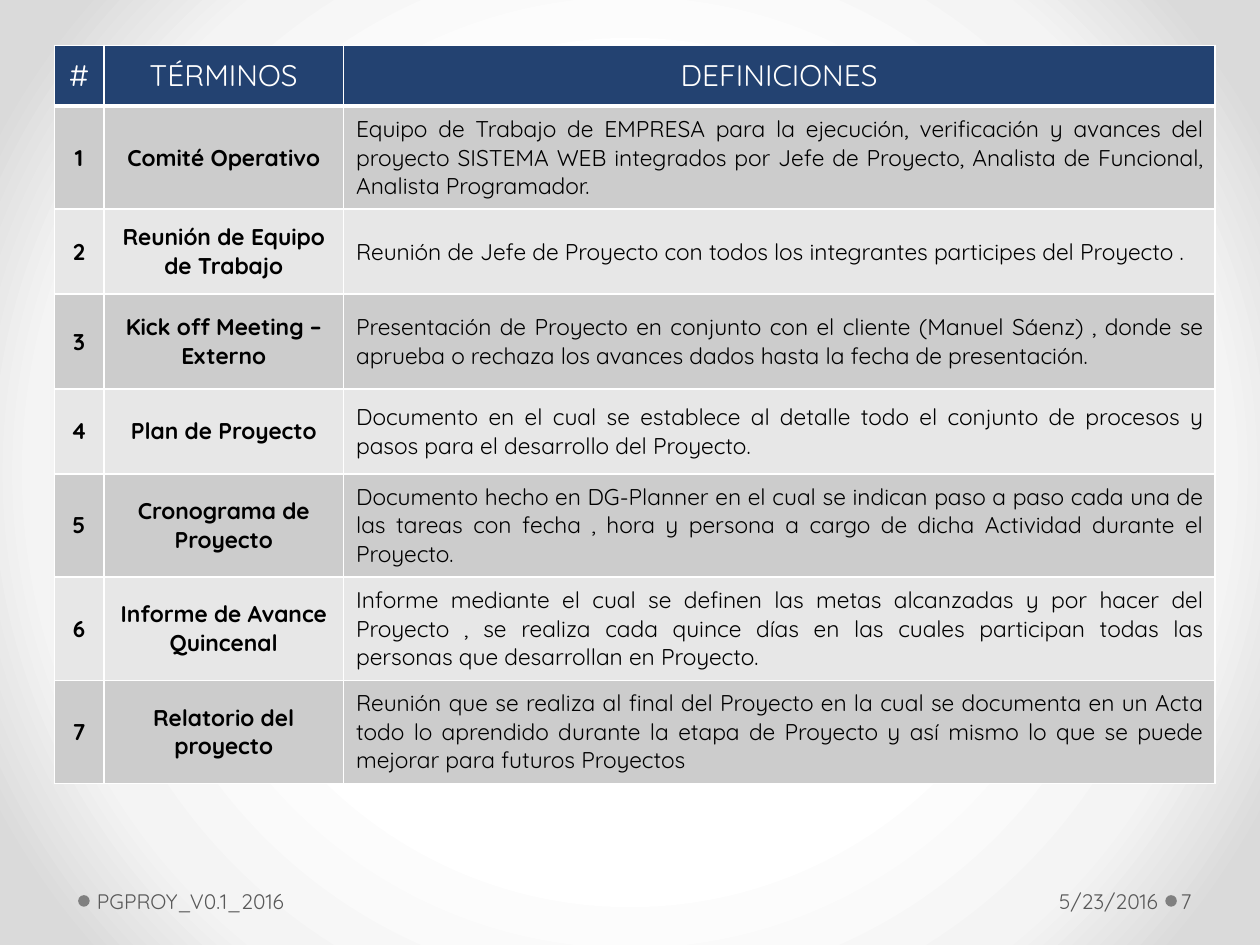
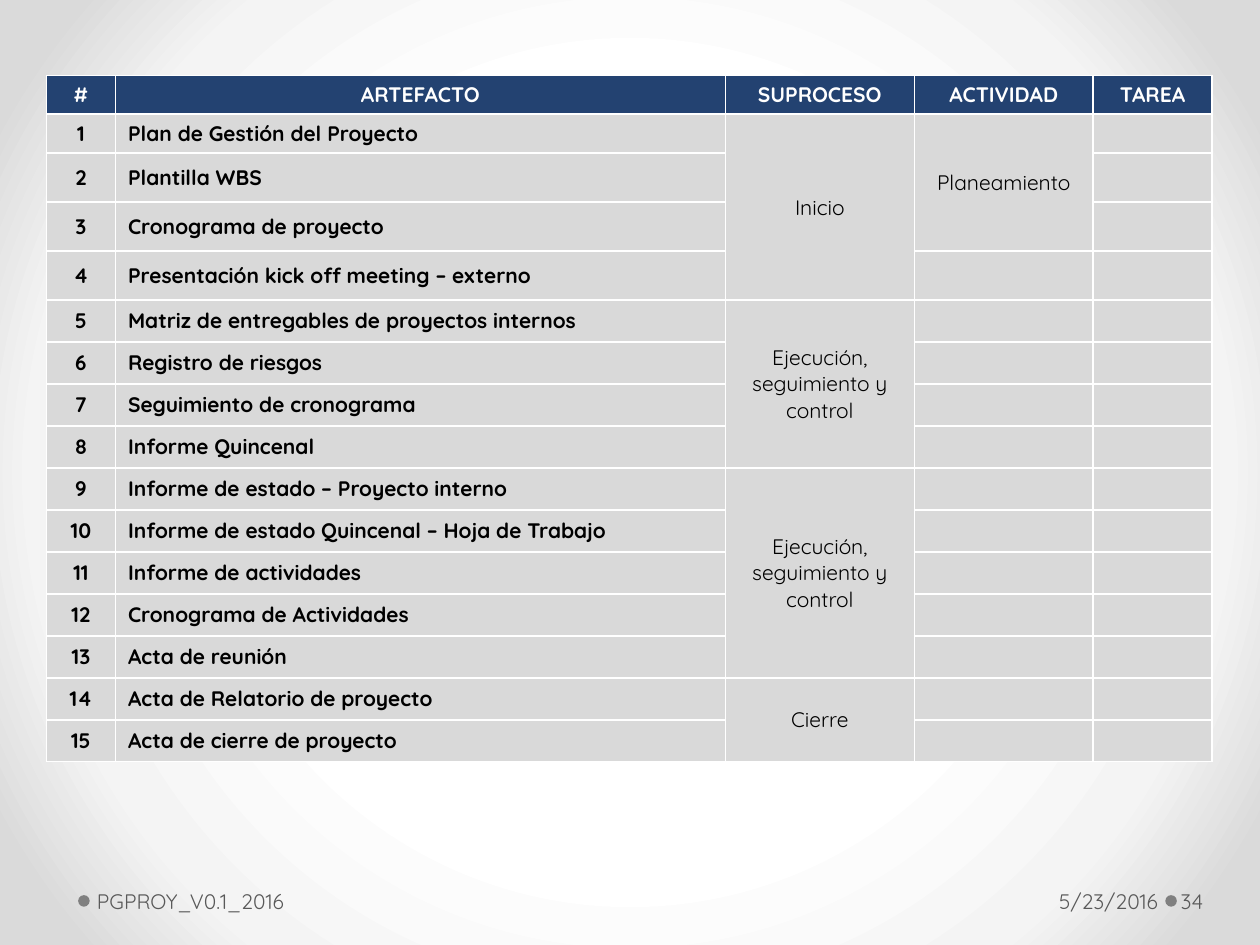
from lxml.etree import SubElement
from pptx import Presentation
from pptx.dml.color import RGBColor
from pptx.enum.shapes import MSO_SHAPE
from pptx.enum.text import MSO_ANCHOR, PP_ALIGN
from pptx.oxml.ns import qn
from pptx.util import Pt

FONT = "Quicksand"
COLORS = {
    "header": "234271", "white": "FFFFFF", "ink": "000000",
    "band_dark": "CCCCCC", "band_light": "E7E7E7", "artifact": "D9D9D9",
    "footer": "595959", "dot": "808080", "mist": "F4F4F4", "edge": "DADADA",
}
BACKDROP = [(50, "white"), (76, "mist"), (92, "edge")]
FOOTER_BOX = (44.64, 500.4, 671.76, 28.8)
DOT_SIZE = 6.6

TERMS_BOX = (31, 26)
TERM_COLUMNS = [28.3, 137, 498]
TERM_ROWS = [34.6, 59, 48.4, 54.4, 48.4, 59, 59, 59]
TERM_HEADINGS = ["#", "TÉRMINOS", "DEFINICIONES"]
TERMS = [
    ("Comité Operativo",
     "Equipo de Trabajo de EMPRESA para la ejecución, verificación y avances del "
     "proyecto SISTEMA WEB integrados por Jefe de Proyecto, Analista de Funcional, "
     "Analista Programador."),
    ("Reunión de Equipo de Trabajo",
     "Reunión de Jefe de Proyecto con todos los integrantes participes del Proyecto ."),
    ("Kick off Meeting – Externo",
     "Presentación de Proyecto en conjunto con el cliente (Manuel Sáenz) , donde se "
     "aprueba o rechaza los avances dados hasta la fecha de presentación."),
    ("Plan de Proyecto",
     "Documento en el cual se establece al detalle todo el conjunto de procesos y "
     "pasos para el desarrollo del Proyecto."),
    ("Cronograma de Proyecto",
     "Documento hecho en DG-Planner en el cual se indican paso a paso cada una de las "
     "tareas con fecha , hora y persona a cargo de dicha Actividad durante el Proyecto."),
    ("Informe de Avance Quincenal",
     "Informe mediante el cual se definen las metas alcanzadas y por hacer del "
     "Proyecto , se realiza cada quince días en las cuales participan todas las "
     "personas que desarrollan en Proyecto."),
    ("Relatorio del proyecto",
     "Reunión que se realiza al final del Proyecto en la cual se documenta en un Acta "
     "todo lo aprendido durante la etapa de Proyecto y así mismo lo que se puede "
     "mejorar para futuros Proyectos"),
]

ARTIFACTS_BOX = (26.5, 43)
ARTIFACT_COLUMNS = [39.5, 348.5, 108, 102.2, 68]
ARTIFACT_ROWS = [22.3] * 2 + [28] * 3 + [24] * 11
ARTIFACT_HEADINGS = ["#", "ARTEFACTO", "SUPROCESO", "ACTIVIDAD", "TAREA"]
ARTIFACTS = [
    "Plan de Gestión del Proyecto", "Plantilla WBS", "Cronograma de proyecto",
    "Presentación kick off meeting – externo",
    "Matriz de entregables de proyectos internos", "Registro de riesgos",
    "Seguimiento de cronograma", "Informe Quincenal",
    "Informe de estado – Proyecto interno",
    "Informe de estado Quincenal – Hoja de Trabajo", "Informe de actividades",
    "Cronograma de Actividades", "Acta de reunión",
    "Acta de Relatorio de proyecto", "Acta de cierre de proyecto",
]
SPANS = [
    (1, 4, 2, "Inicio"),
    (1, 3, 3, "Planeamiento"),
    (5, 8, 2, "Ejecución, seguimiento y control"),
    (9, 13, 2, "Ejecución, seguimiento y control"),
    (14, 15, 2, "Cierre"),
]


def rgb(name):
    return RGBColor.from_string(COLORS[name])


def write(frame, text, size, color, bold=False, align=PP_ALIGN.LEFT):
    paragraph = frame.paragraphs[0]
    paragraph.text = text
    paragraph.alignment = align
    for run in paragraph.runs:
        run.font.name = FONT
        run.font.size = Pt(size)
        run.font.bold = bold
        run.font.color.rgb = rgb(color)
    if not text:
        SubElement(paragraph._p, qn("a:endParaRPr"), sz=str(size * 100))


def paint_backdrop(master):
    master.background.fill.gradient()
    gradient = master.element.find(".//" + qn("a:gradFill"))
    for child in list(gradient):
        gradient.remove(child)
    stops = SubElement(gradient, qn("a:gsLst"))
    for position, color in BACKDROP:
        stop = SubElement(stops, qn("a:gs"), pos=str(position * 1000))
        SubElement(stop, qn("a:srgbClr"), val=COLORS[color])
    circle = SubElement(gradient, qn("a:path"), path="circle")
    SubElement(circle, qn("a:fillToRect"), l="50000", t="50000", r="50000", b="50000")


def add_footer(slide, box, page):
    left, top, width, height = box
    page_left = 627.84
    parts = [
        (7.2, 285, "PGPROY_V0.1_2016", PP_ALIGN.LEFT, 3.6, 7.2),
        (456.5, 164.2, "5/23/2016", PP_ALIGN.RIGHT, 7.2, 3.6),
        (page_left, width - page_left, page, PP_ALIGN.LEFT, 2.2, 3.6),
    ]
    for dot_left in (0, page_left - DOT_SIZE):
        dot = slide.shapes.add_shape(
            MSO_SHAPE.OVAL, Pt(left + dot_left), Pt(top + (height - DOT_SIZE) / 2),
            Pt(DOT_SIZE), Pt(DOT_SIZE))
        dot.shadow.inherit = False
        dot.fill.solid()
        dot.fill.fore_color.rgb = rgb("dot")
        dot.line.fill.background()
    for offset, span, text, align, inset_left, inset_right in parts:
        label = slide.shapes.add_textbox(Pt(left + offset), Pt(top), Pt(span), Pt(height))
        frame = label.text_frame
        frame.word_wrap = True
        frame.vertical_anchor = MSO_ANCHOR.MIDDLE
        frame.margin_left, frame.margin_right = Pt(inset_left), Pt(inset_right)
        write(frame, text, 12, "footer", align=align)


def style_cell(cell, fill, bottom=1):
    properties = cell._tc.get_or_add_tcPr()
    for side, weight in (("L", 1), ("R", 1), ("T", 1), ("B", bottom)):
        border = SubElement(properties, qn("a:ln" + side), w=str(Pt(weight)))
        SubElement(SubElement(border, qn("a:solidFill")), qn("a:srgbClr"),
                   val=COLORS["white"])
    cell.fill.solid()
    cell.fill.fore_color.rgb = rgb(fill)
    cell.vertical_anchor = MSO_ANCHOR.MIDDLE


def add_grid(slide, box, columns, heights):
    left, top = box
    grid = slide.shapes.add_table(
        len(heights), len(columns), Pt(left), Pt(top),
        Pt(sum(columns)), Pt(sum(heights))).table
    for column, width in zip(grid.columns, columns):
        column.width = Pt(width)
    for row, height in zip(grid.rows, heights):
        row.height = Pt(height)
    return grid


def add_headings(grid, headings, size, bold, bottom):
    for column, heading in enumerate(headings):
        cell = grid.cell(0, column)
        style_cell(cell, "header", bottom)
        write(cell.text_frame, heading, size, "white", bold, PP_ALIGN.CENTER)


def add_terms(slide, box):
    grid = add_grid(slide, box, TERM_COLUMNS, TERM_ROWS)
    add_headings(grid, TERM_HEADINGS, 17, False, 3)
    for number, (term, definition) in enumerate(TERMS, 1):
        band = "band_dark" if number % 2 else "band_light"
        for column, text in enumerate((str(number), term, definition)):
            is_definition = column == 2
            cell = grid.cell(number, column)
            style_cell(cell, band)
            write(cell.text_frame, text, 13, "ink", not is_definition,
                  PP_ALIGN.JUSTIFY if is_definition else PP_ALIGN.CENTER)


def add_artifacts(slide, box):
    grid = add_grid(slide, box, ARTIFACT_COLUMNS, ARTIFACT_ROWS)
    add_headings(grid, ARTIFACT_HEADINGS, 12, True, 1)
    span_labels = {(first, column): label for first, last, column, label in SPANS}
    for number, artifact in enumerate(ARTIFACTS, 1):
        for column in range(len(ARTIFACT_COLUMNS)):
            text = {0: str(number), 1: artifact}.get(
                column, span_labels.get((number, column), ""))
            cell = grid.cell(number, column)
            style_cell(cell, "artifact")
            write(cell.text_frame, text, 12, "ink", column < 2,
                  PP_ALIGN.JUSTIFY if column == 1 else PP_ALIGN.CENTER)
    for first, last, column, label in SPANS:
        grid.cell(first, column).merge(grid.cell(last, column))


def main():
    deck = Presentation()
    deck.slide_width, deck.slide_height = Pt(720), Pt(540)
    paint_backdrop(deck.slide_master)
    pages = [("7", add_terms, TERMS_BOX), ("34", add_artifacts, ARTIFACTS_BOX)]
    for page, add_content, box in pages:
        slide = deck.slides.add_slide(deck.slide_layouts[6])
        add_content(slide, box)
        add_footer(slide, FOOTER_BOX, page)
    deck.save("out.pptx")


if __name__ == "__main__":
    main()
